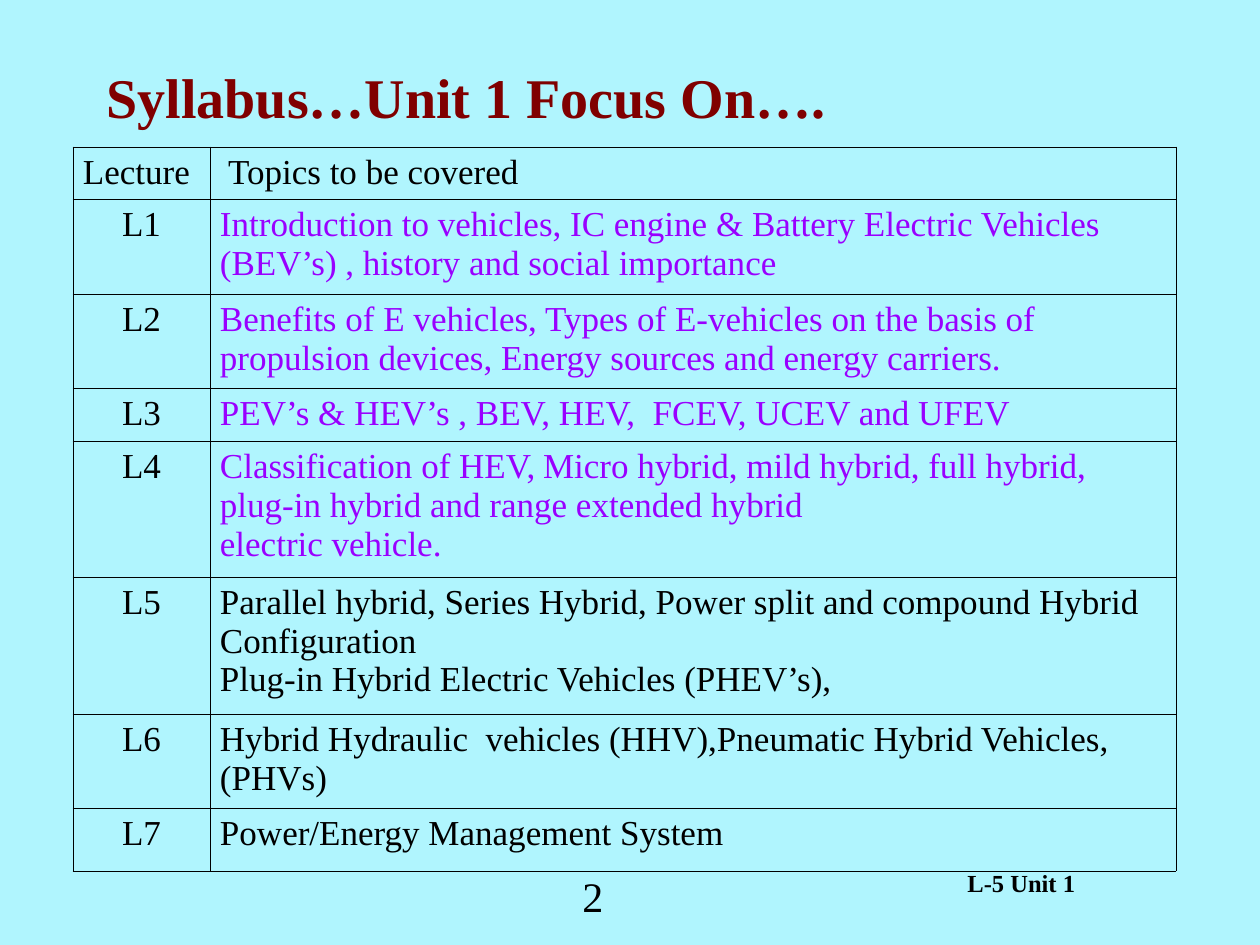
from lxml.etree import SubElement
from pptx import Presentation
from pptx.dml.color import RGBColor
from pptx.enum.text import MSO_ANCHOR, PP_ALIGN
from pptx.oxml.ns import qn
from pptx.util import Pt

BACKGROUND = RGBColor(0xB0, 0xF5, 0xFE)
MAROON = RGBColor(0x80, 0x00, 0x00)
PURPLE = RGBColor(0x99, 0x00, 0xFF)
BLACK = RGBColor(0x00, 0x00, 0x00)
SERIF = "Times New Roman"
SPACER = " "

COLUMNS = [137, 966]
LECTURES = [
    ("Lecture", [["Topics to be covered"]], BLACK, 52),
    ("L1", [["Introduction to vehicles, IC engine & Battery Electric Vehicles "
             "(BEV’s) , history and social importance"]], PURPLE, 95),
    ("L2", [["Benefits of E vehicles, Types of E-vehicles on the basis of "
             "propulsion devices, Energy sources and energy carriers."]], PURPLE, 94),
    ("L3", [["PEV’s & HEV’s , BEV, HEV,  FCEV, UCEV and UFEV"]], PURPLE, 53),
    ("L4", [["Classification of HEV,", SPACER,
             "Micro hybrid, mild hybrid, full hybrid, plug-in hybrid and "
             "range extended hybrid"],
            ["electric vehicle."]], PURPLE, 136),
    ("L5", [["Parallel hybrid, Series Hybrid, Power split and compound Hybrid "
             "Configuration"],
            ["Plug-in Hybrid Electric Vehicles (PHEV’s),"]], BLACK, 137),
    ("L6", [["Hybrid Hydraulic  vehicles (HHV),Pneumatic Hybrid Vehicles, "
             "(PHVs)"]], BLACK, 94),
    ("L7", [["Power/Energy Management System"]], BLACK, 63),
]
LECTURES[0][1][0][0] = " Topics to be covered"


def px(n):
    return round(n * 914400 / 126)


def style(r, size, color, bold=False, name=SERIF):
    r.font.name = name
    r.font.size = Pt(size)
    r.font.bold = bold
    r.font.color.rgb = color


def write(tf, text, size, color, bold=False, align=PP_ALIGN.LEFT):
    tf.text = text
    tf.word_wrap = True
    tf.vertical_anchor = MSO_ANCHOR.MIDDLE
    p = tf.paragraphs[0]
    p.alignment = align
    style(p.runs[0], size, color, bold)


def add_title(s, x, y, w, h):
    sp = s.shapes.title
    sp.left, sp.top, sp.width, sp.height = px(x), px(y), px(w), px(h)
    write(sp.text_frame, "Syllabus…Unit 1 Focus On….", 32, MAROON, True)


def add_label(s, x, y, w, h, text, size, bold, align):
    sp = s.shapes.add_textbox(px(x), px(y), px(w), px(h))
    write(sp.text_frame, text, size, BLACK, bold, align)


def set_borders(cell):
    tc_pr = cell._tc.get_or_add_tcPr()
    for i, side in enumerate(("a:lnL", "a:lnR", "a:lnT", "a:lnB")):
        ln = SubElement(tc_pr, qn(side), w=str(Pt(0.45)))
        fill = SubElement(ln, qn("a:solidFill"))
        SubElement(fill, qn("a:srgbClr"), val=str(BLACK))
        tc_pr.insert(i, ln)


def fill_cell(cell, paragraphs, color, align):
    cell.fill.background()
    cell.margin_left = cell.margin_right = px(10)
    cell.margin_top, cell.margin_bottom = px(6), px(4)
    set_borders(cell)
    tf = cell.text_frame
    for i, runs in enumerate(paragraphs):
        p = tf.paragraphs[0] if i == 0 else tf.add_paragraph()
        p.alignment = align
        for text in runs:
            r = p.add_run()
            r.text = text
            if text == SPACER:
                style(r, 18, color, name="Calibri")
            else:
                style(r, 20, color)


def add_syllabus(s, x, y):
    height = sum(row[-1] for row in LECTURES)
    table = s.shapes.add_table(len(LECTURES), len(COLUMNS), px(x), px(y),
                               px(sum(COLUMNS)), px(height)).table
    table.first_row = table.horz_banding = False
    for column, w in zip(table.columns, COLUMNS):
        column.width = px(w)
    for i, (lecture, topics, color, h) in enumerate(LECTURES):
        table.rows[i].height = px(h)
        align = PP_ALIGN.CENTER if i else PP_ALIGN.LEFT
        fill_cell(table.cell(i, 0), [[lecture]], BLACK, align)
        fill_cell(table.cell(i, 1), topics, color, PP_ALIGN.LEFT)


def main():
    prs = Presentation()
    prs.slide_width, prs.slide_height = px(1260), px(945)
    s = prs.slides.add_slide(prs.slide_layouts[5])
    s.background.fill.solid()
    s.background.fill.fore_color.rgb = BACKGROUND
    add_label(s, 955, 861, 159, 43, "L-5 Unit 1", 14, True, PP_ALIGN.LEFT)
    add_title(s, 94, 49, 1071, 94)
    add_label(s, 462, 864, 262, 63, "2", 24, False, PP_ALIGN.CENTER)
    add_syllabus(s, 73, 147)
    prs.save("out.pptx")


if __name__ == "__main__":
    main()
